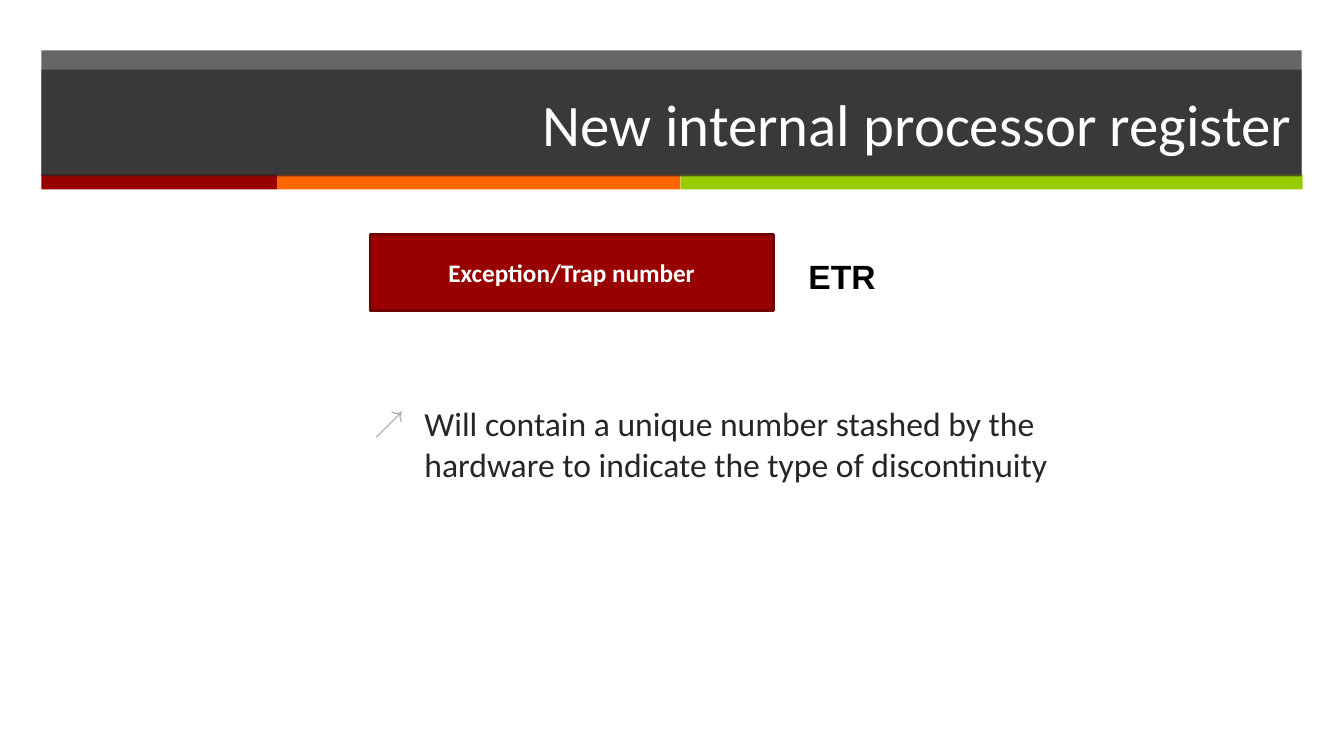
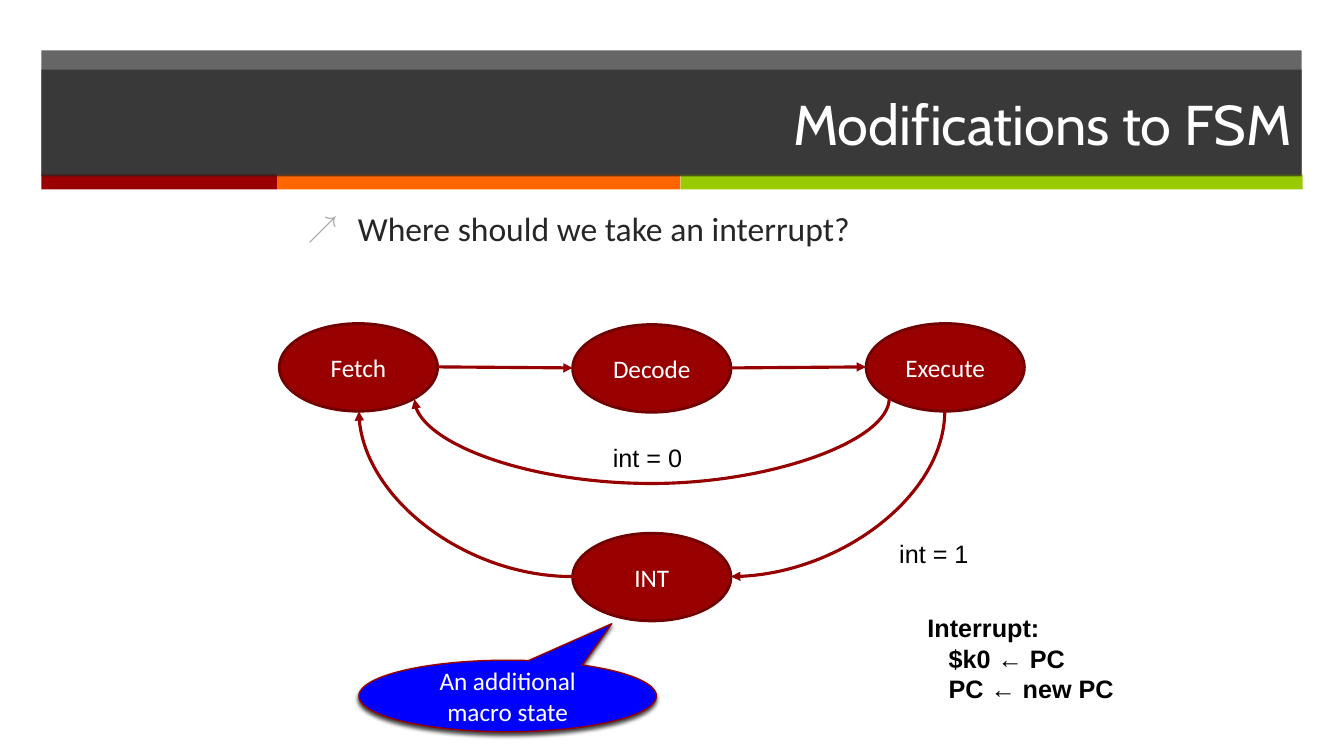
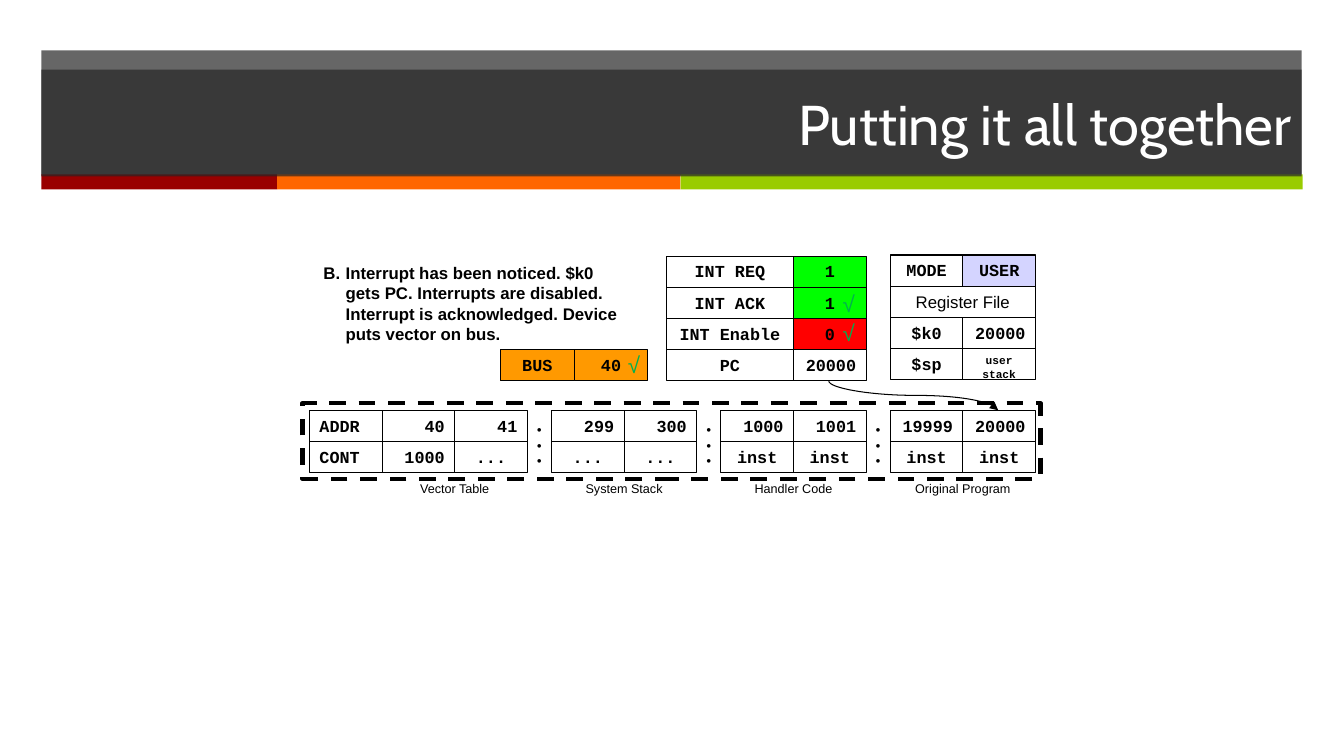
from dataclasses import dataclass
from typing import Any

from lxml.etree import SubElement
from pptx import Presentation
from pptx.dml.color import RGBColor
from pptx.enum.dml import MSO_LINE
from pptx.enum.shapes import MSO_CONNECTOR as Link, MSO_SHAPE as Form
from pptx.enum.text import MSO_ANCHOR as Anchor, MSO_AUTO_SIZE as AutoSize, PP_ALIGN as Align
from pptx.oxml.ns import qn
from pptx.util import Inches, Pt

BLACK, WHITE, CHARCOAL = "000000", "FFFFFF", "262626"
RED, DARK_RED, ARROW_RED = "990000", "710000", "960000"
GREEN, ORANGE = "00FF00", "FF9900"
BAND_OPACITY = 70
CELL_WIDTH, CELL_HEIGHT = 0.72, 0.31


@dataclass(frozen=True)
class Box:
    left: float
    top: float
    width: float
    height: float

    def lengths(self) -> list[int]:
        return [Inches(v) for v in (self.left, self.top, self.width, self.height)]


@dataclass(frozen=True)
class Style:
    name: str
    size: float
    color: str = BLACK
    bold: bool = False


@dataclass(frozen=True)
class Band:
    box: Box
    color: str
    opacity: int = 100


@dataclass(frozen=True)
class Cell:
    text: str
    align: Align = Align.CENTER
    fill: str | None = None
    style: Style = Style("Courier New", 12, bold=True)
    span: int = 1


@dataclass(frozen=True)
class Curve:
    start: tuple[float, float]
    end: tuple[float, float]
    rotation: int
    preset: str = "curvedConnector2"
    bend: float | None = None
    flipped: bool = False
    color: str = ARROW_RED
    weight: float = 2.25


@dataclass(frozen=True)
class Label:
    text: str
    box: Box
    style: Style
    wrap: bool = False
    align: Align = Align.LEFT
    indent: float = 0


STATE_STYLE = Style("Calibri", 18, WHITE)
LABEL_STYLE = Style("Arial", 18)
NOTE_STYLE = Style("Arial", 12, bold=True)
CAPTION_STYLE = Style("Arial", 9)
CHECK_STYLE = Style("Arial", 16, "00B050")
BODY_STYLE = Style("Calibri", 24, CHARCOAL)
CABIN_TITLE = Style("Cabin", 40, WHITE)
TITLE_BOX = Box(0.41, 0.69, 12.5, 1.06)
BANDS = [
    Band(Box(0.41, 0.5, 12.5, 1.24), CHARCOAL, BAND_OPACITY),
    Band(Box(0.41, 1.73, 2.34, 0.15), RED),
    Band(Box(2.75, 1.73, 4, 0.15), "FF6600"),
    Band(Box(6.75, 1.73, 6.17, 0.15), "99CC00"),
]


def set_values(target: Any, values: dict[str, Any]) -> None:
    for key, value in values.items():
        setattr(target, key, value)


def rgb(color: str) -> RGBColor:
    return RGBColor.from_string(color)


def place(shape: Any, box: Box) -> None:
    set_values(shape, dict(zip(("left", "top", "width", "height"), box.lengths())))


def paint(shape: Any, fill: str | None, opacity: int = 100) -> None:
    if fill is None:
        shape.fill.background()
        return
    shape.fill.solid()
    shape.fill.fore_color.rgb = rgb(fill)
    if opacity < 100:
        tint = shape.fill._xPr.find(qn("a:solidFill"))[0]
        SubElement(tint, qn("a:alpha"), val=str(opacity * 1000))


def outline(line: Any, color: str, weight: float) -> None:
    line.color.rgb = rgb(color)
    line.width = Pt(weight)


def write(frame: Any, text: str, style: Style, align: Align = Align.LEFT,
          anchor: Anchor = Anchor.TOP, wrap: bool = True, indent: float = 0) -> None:
    set_values(frame, {"word_wrap": wrap, "vertical_anchor": anchor, "auto_size": AutoSize.NONE})
    for index, line in enumerate(text.split("\n")):
        paragraph = frame.add_paragraph() if index else frame.paragraphs[0]
        set_values(paragraph, {"alignment": align, "space_before": Pt(0)})
        if index and indent:
            paragraph._p.get_or_add_pPr().set("marL", str(Inches(indent)))
        run = paragraph.add_run()
        run.text = line
        set_values(run.font, {"name": style.name, "size": Pt(style.size), "bold": style.bold})
        run.font.color.rgb = rgb(style.color)


def add_form(slide: Any, form: Form, box: Box, fill: str | None, line: str | None = None,
             weight: float = 2, opacity: int = 100) -> Any:
    shape = slide.shapes.add_shape(form, *box.lengths())
    shape.shadow.inherit = False
    paint(shape, fill, opacity)
    if line:
        outline(shape.line, line, weight)
    else:
        shape.line.fill.background()
    return shape


def add_label(slide: Any, label: Label) -> None:
    frame = slide.shapes.add_textbox(*label.box.lengths()).text_frame
    write(frame, label.text, label.style, label.align, wrap=label.wrap, indent=label.indent)


def add_grid(slide: Any, left: float, top: float, rows: list[list[Cell]],
             first_width: float = CELL_WIDTH) -> None:
    for row_index, row in enumerate(rows):
        x = left
        for column, cell in enumerate(row):
            width = CELL_WIDTH * cell.span if column or cell.span > 1 else first_width
            box = Box(x, top + CELL_HEIGHT * row_index, width, CELL_HEIGHT)
            shape = add_form(slide, Form.RECTANGLE, box, cell.fill, BLACK, 0.75)
            write(shape.text_frame, cell.text, cell.style, cell.align, wrap=False)
            x += width


def finish_arrow(connector: Any, color: str, weight: float) -> None:
    outline(connector.line, color, weight)
    SubElement(connector.line._get_or_add_ln(), qn("a:tailEnd"), type="triangle")
    SubElement(connector._element.spPr, qn("a:effectLst"))


def add_curve(slide: Any, curve: Curve) -> None:
    (x1, y1), (x2, y2) = curve.start, curve.end
    width, height = abs(x2 - x1), abs(y2 - y1)
    if curve.rotation % 180:
        width, height = height, width
    left, top = (x1 + x2 - width) / 2, (y1 + y2 - height) / 2
    corners = [Inches(v) for v in (left, top, left + width, top + height)]
    connector = slide.shapes.add_connector(Link.CURVE, *corners)
    properties = connector._element.spPr
    frame = properties.find(qn("a:xfrm"))
    frame.set("rot", str(curve.rotation * 60000))
    if curve.flipped:
        frame.set("flipH", "1")
    geometry = properties.find(qn("a:prstGeom"))
    geometry.set("prst", curve.preset)
    if curve.bend is not None:
        SubElement(geometry.find(qn("a:avLst")), qn("a:gd"), name="adj1",
                   fmla=f"val {round(curve.bend * 100000)}")
    finish_arrow(connector, curve.color, curve.weight)


def add_bands(master: Any, slide: Any) -> None:
    for index, band in enumerate(BANDS):
        shape = add_form(slide, Form.RECTANGLE, band.box, band.color, opacity=band.opacity)
        shape._element.nvSpPr.cNvPr.set("id", str(20 + index))
        master.shapes._spTree.insert(2 + index, shape._element)


def add_slide(deck: Any, layout: int, title: str, style: Style = CABIN_TITLE) -> Any:
    slide = deck.slides.add_slide(deck.slide_layouts[layout])
    heading = slide.shapes.title
    place(heading, TITLE_BOX)
    paint(heading, CHARCOAL, BAND_OPACITY)
    write(heading.text_frame, title, style, Align.RIGHT, Anchor.MIDDLE)
    return slide


def fill_body(slide: Any, box: Box, text: str) -> None:
    body = slide.placeholders[1]
    place(body, box)
    properties = body.text_frame.paragraphs[0]._p.get_or_add_pPr()
    properties.set("marL", str(Inches(0.5)))
    properties.set("indent", str(Inches(-0.5)))
    SubElement(SubElement(properties, qn("a:buClr")), qn("a:srgbClr"), val="A6A6A6")
    SubElement(properties, qn("a:buSzPct"), val="90000")
    SubElement(properties, qn("a:buFont"), typeface="Arial")
    SubElement(properties, qn("a:buChar"), char="↗")
    write(body.text_frame, text, BODY_STYLE)


def build_register(deck: Any) -> None:
    slide = add_slide(deck, 1, "New internal processor register", Style("Calibri", 42, WHITE))
    add_bands(deck.slide_master, slide)
    register = add_form(slide, Form.RECTANGLE, Box(3.67, 2.33, 4, 0.75), RED, DARK_RED)
    write(register.text_frame, "Exception/Trap number", Style("Calibri", 18, WHITE, True),
          Align.CENTER, Anchor.MIDDLE)
    add_label(slide, Label("ETR", Box(7.92, 2.49, 0.88, 0.5), Style("Arial", 24, bold=True)))
    fill_body(slide, Box(3.61, 3.95, 7.74, 2.75),
              "Will contain a unique number stashed by the hardware "
              "to indicate the type of discontinuity")


def build_states(deck: Any) -> None:
    slide = add_slide(deck, 1, "Modifications to FSM")
    fill_body(slide, Box(2.95, 2.01, 7.74, 1.17), "Where should we take an interrupt?")
    states = {"Fetch": (2.77, 3.21), "Execute": (8.59, 3.21),
              "Decode": (5.68, 3.22), "INT": (5.68, 5.29)}
    for name, (left, top) in states.items():
        state = add_form(slide, Form.OVAL, Box(left, top, 1.57, 0.87), RED, DARK_RED)
        write(state.text_frame, name, STATE_STYLE, Align.CENTER, Anchor.MIDDLE)
    for x1, y1, x2, y2 in ((4.34, 3.64, 5.68, 3.65), (7.25, 3.65, 8.59, 3.64)):
        step = slide.shapes.add_connector(Link.STRAIGHT, *map(Inches, (x1, y1, x2, y2)))
        finish_arrow(step, ARROW_RED, 2.25)
    for curve in (
        Curve((8.82, 3.95), (4.11, 3.96), 90, "curvedConnector3", 86),
        Curve((9.37, 4.08), (7.25, 5.72), 90),
        Curve((5.68, 5.72), (3.56, 4.08), 180),
    ):
        add_curve(slide, curve)
    callout = add_form(slide, Form.OVAL_CALLOUT, Box(3.56, 6.55, 2.95, 0.71),
                       "0000FF", ARROW_RED, 1)
    callout.adjustments[0], callout.adjustments[1] = 0.35, -1.01
    shadow = SubElement(callout._element.spPr.find(qn("a:effectLst")), qn("a:outerShdw"),
                        blurRad=str(Pt(3)), dist=str(Pt(2)), dir=str(110 * 60000),
                        rotWithShape="0")
    shade = SubElement(shadow, qn("a:srgbClr"), val=BLACK)
    SubElement(shade, qn("a:alpha"), val="75000")
    write(callout.text_frame, "An additional macro state", STATE_STYLE,
          Align.CENTER, Anchor.MIDDLE)
    for label in (
        Label("int = 0", Box(5.98, 4.34, 0.9, 0.4), LABEL_STYLE),
        Label("int = 1", Box(8.82, 5.29, 0.9, 0.4), LABEL_STYLE),
        Label("Interrupt:\n$k0 ← PC\nPC ← new PC", Box(9.1, 6.03, 2.07, 1.01),
              Style("Arial", 18, bold=True), indent=0.21),
    ):
        add_label(slide, label)


def build_machine(deck: Any) -> None:
    slide = add_slide(deck, 5, "Putting it all together")
    memory_left, memory_top, segment_pitch = 3.79, 4.07, 1.68
    segments = [
        ("Vector Table", ("40", "41"), (Cell("1000", Align.RIGHT), Cell("..."))),
        ("System Stack", ("299", "300"), (Cell("..."), Cell("..."))),
        ("Handler Code", ("1000", "1001"), (Cell("inst"), Cell("inst"))),
        ("Original Program", ("19999", "20000"), (Cell("inst"), Cell("inst"))),
    ]
    add_grid(slide, memory_left - CELL_WIDTH, memory_top,
             [[Cell("ADDR", Align.LEFT)], [Cell("CONT", Align.LEFT)]])
    for index, (caption, addresses, contents) in enumerate(segments):
        left = memory_left + segment_pitch * index
        add_grid(slide, left, memory_top,
                 [[Cell(address, Align.RIGHT) for address in addresses], list(contents)])
        add_label(slide, Label(caption, Box(left + CELL_WIDTH - 0.58, 4.72, 1.16, 0.25),
                               CAPTION_STYLE, align=Align.CENTER))
        if index < len(segments) - 1:
            add_label(slide, Label("•\n•\n•", Box(left + 1.43, 4.14, 0.25, 0.56),
                                   Style("Arial", 9, bold=True), align=Align.RIGHT))
    add_form(slide, Form.RECTANGLE, Box(3, 4, 7.32, 0.75), None, BLACK,
             3).line.dash_style = MSO_LINE.DASH

    add_grid(slide, 6.61, 2.54, [
        [Cell("INT REQ"), Cell("1", fill=GREEN)],
        [Cell("INT ACK"), Cell("1", fill=GREEN)],
        [Cell("INT Enable"), Cell("0", fill="FF0000")],
        [Cell("PC"), Cell("20000", Align.RIGHT)],
    ], first_width=1.26)
    add_grid(slide, 8.83, 2.53, [
        [Cell("MODE"), Cell("USER", fill="D4D4FF")],
        [Cell("Register File", style=Style("Arial", 12), span=2)],
        [Cell("$k0"), Cell("20000", Align.RIGHT)],
        [Cell("$sp"), Cell("user\nstack", style=Style("Courier New", 8, bold=True))],
    ])
    add_grid(slide, 4.96, 3.47, [[Cell("BUS", fill=ORANGE), Cell("40", fill=ORANGE)]],
             first_width=0.74)
    add_curve(slide, Curve((8.22, 3.78), (9.9, 4.07), 270, "curvedConnector3", 0.49,
                           True, BLACK, 0.75))
    add_label(slide, Label("B.", Box(3.11, 2.56, 0.43, 1.15), NOTE_STYLE, True))
    add_label(slide, Label("Interrupt has been noticed. $k0 gets PC. Interrupts are disabled. "
                           "Interrupt is acknowledged. Device puts vector on bus.",
                           Box(3.33, 2.56, 3.02, 1.15), NOTE_STYLE, True))
    for left, top in ((6.13, 3.43), (8.26, 3.12), (8.26, 2.83)):
        add_label(slide, Label("√", Box(left, top, 0.32, 0.37), CHECK_STYLE, True))


def main() -> None:
    deck = Presentation()
    set_values(deck, {"slide_width": Inches(13.33), "slide_height": Inches(7.5)})
    for build in (build_register, build_states, build_machine):
        build(deck)
    deck.save("out.pptx")


if __name__ == "__main__":
    main()
